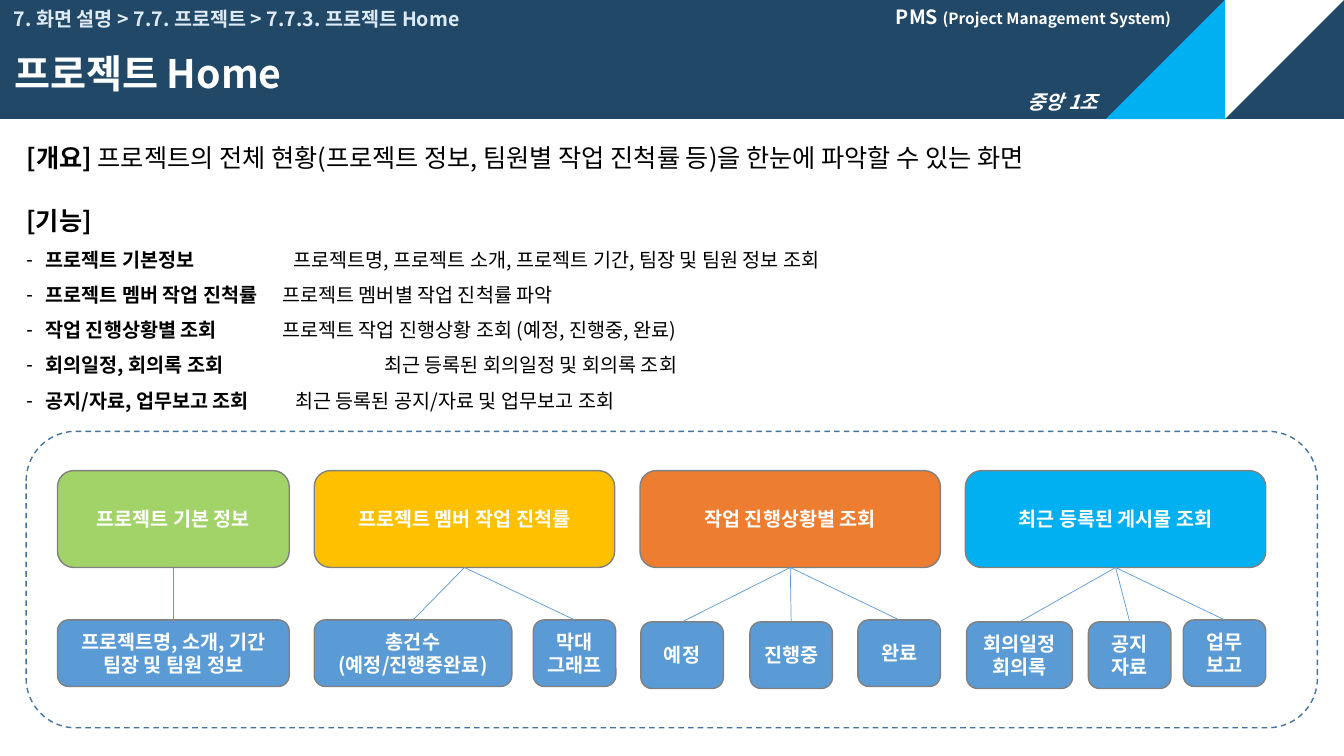
from dataclasses import dataclass

from lxml.etree import SubElement
from pptx import Presentation
from pptx.dml.color import RGBColor
from pptx.enum.dml import MSO_LINE_DASH_STYLE as Dash
from pptx.enum.shapes import MSO_CONNECTOR as Connector, MSO_SHAPE as Shape
from pptx.enum.text import MSO_ANCHOR as Anchor, MSO_AUTO_SIZE as AutoSize, PP_ALIGN as Align
from pptx.oxml.ns import qn
from pptx.util import Cm, Pt


@dataclass(frozen=True)
class Theme:
    font: str = "Noto Sans CJK KR"
    navy: str = "214867"
    sky: str = "00B0F0"
    white: str = "FFFFFF"
    black: str = "000000"
    pale: str = "DEEBF7"
    blue: str = "5B9BD5"
    frame: str = "43739E"
    edge: str = "808080"
    green: str = "A2D368"
    yellow: str = "FFC000"
    orange: str = "ED7D31"
    title: int = 28
    heading: int = 18
    text: int = 14
    small: int = 11


class SlideBuilder:
    def __init__(self, slide, theme):
        self.slide, self.theme = slide, theme

    def place(self, shape, box):
        shape.left, shape.top, shape.width, shape.height = (Cm(v) for v in box)

    def style(self, paragraph, size, color, bold=True, align=Align.LEFT, spacing=1.0):
        paragraph.alignment = align
        paragraph.line_spacing = spacing
        paragraph.space_before = Pt(0)
        font = paragraph.font
        font.name, font.size, font.bold = self.theme.font, Pt(size), bold
        font.color.rgb = RGBColor.from_string(color)
        # Hangul takes its typeface from the East Asian slot
        SubElement(font._element, qn("a:ea"), typeface=self.theme.font)

    def frame(self, shape, anchor):
        frame = shape.text_frame
        frame.word_wrap = True
        frame.auto_size = AutoSize.NONE
        frame.vertical_anchor = anchor
        return frame

    def label(self, box, runs, size, color, anchor=Anchor.MIDDLE, spacing=1.0):
        """Text box with one paragraph; returns that paragraph."""
        shape = self.slide.shapes.add_textbox(*(Cm(v) for v in box))
        paragraph = self.frame(shape, anchor).paragraphs[0]
        for text in runs:
            paragraph.add_run().text = text
        self.style(paragraph, size, color, spacing=spacing)
        return paragraph

    def title(self, box, text):
        shape = self.slide.shapes.title
        self.slide.shapes._spTree.append(shape._element)  # in front of the banner
        self.place(shape, box)
        paragraph = self.frame(shape, Anchor.MIDDLE).paragraphs[0]
        paragraph.text = text
        self.style(paragraph, self.theme.title, self.theme.white, spacing=0.9)

    def features(self, box, heading, items):
        """Body placeholder: a heading, then dashed items with a tabbed explanation."""
        t = self.theme
        body = self.slide.placeholders[1]
        self.slide.shapes._spTree.append(body._element)
        self.place(body, box)
        frame = self.frame(body, Anchor.TOP)
        first = frame.paragraphs[0]
        first.text = heading
        self.bullet(first)
        self.style(first, t.heading, t.black, spacing=1.5)
        for name, explanation, tab in items:
            item = frame.add_paragraph()
            for text, bold in ((name, True), ("\t" + explanation, False)):
                run = item.add_run()
                run.text, run.font.bold = text, bold
            self.bullet(item, "-", 0.48, tab)
            self.style(item, t.text, t.black, bold=None, spacing=1.5)

    def bullet(self, paragraph, mark=None, indent=0, tab=None):
        props = paragraph._p.get_or_add_pPr()
        props.set("marL", str(Cm(indent)))
        props.set("indent", str(-Cm(indent)))
        if mark:
            SubElement(props, qn("a:buChar"), char=mark)
        else:
            SubElement(props, qn("a:buNone"))
        if tab:
            stops = SubElement(props, qn("a:tabLst"))
            SubElement(stops, qn("a:tab"), pos=str(Cm(tab)), algn="l")

    def shape(self, kind, box, fill, line=None, rotation=0):
        shape = self.slide.shapes.add_shape(kind, *(Cm(v) for v in box))
        shape.shadow.inherit = False
        shape.rotation = rotation
        shape.fill.solid()
        shape.fill.fore_color.rgb = RGBColor.from_string(fill)
        if line:
            shape.line.color.rgb = RGBColor.from_string(line)
            shape.line.width = Pt(1)
        else:
            shape.line.fill.background()
        return shape

    def card(self, box, fill, text):
        shape = self.shape(Shape.ROUNDED_RECTANGLE, box, fill, self.theme.edge)
        frame = self.frame(shape, Anchor.MIDDLE)
        frame.text = text
        for paragraph in frame.paragraphs:
            self.style(paragraph, self.theme.text, self.theme.white, align=Align.CENTER)
        return shape

    def link(self, parent, child):
        line = self.slide.shapes.add_connector(Connector.STRAIGHT, 0, 0, 0, 0)
        line.begin_connect(parent, 2)
        line.end_connect(child, 0)
        line.line.color.rgb = RGBColor.from_string(self.theme.blue)
        line.line.width = Pt(0.5)
        SubElement(line._element.spPr, qn("a:effectLst"))


# Name, explanation, tab stop
FEATURES = [
    ("프로젝트 기본정보", "프로젝트명, 프로젝트 소개, 프로젝트 기간, 팀장 및 팀원 정보 조회", 6.73),
    ("프로젝트 멤버 작업 진척률", "프로젝트 멤버별 작업 진척률 파악", 6.45),
    ("작업 진행상황별 조회", "프로젝트 작업 진행상황 조회 (예정, 진행중, 완료)", 6.45),
    ("회의일정, 회의록 조회", "최근 등록된 회의일정 및 회의록 조회", 9.02),
    ("공지/자료, 업무보고 조회", "최근 등록된 공지/자료 및 업무보고 조회", 6.78),
]

# Upper card: left, width, colour, text; lower cards: left, top, width, text
HIGH, LOW, NARROW = 15.62, 15.67, 2.08
GROUPS = [
    (1.45, 5.84, Theme.green, "프로젝트 기본 정보",
     [(1.45, HIGH, 5.84, "프로젝트명, 소개, 기간\n팀장 및 팀원 정보")]),
    (7.92, 7.57, Theme.yellow, "프로젝트 멤버 작업 진척률",
     [(7.92, HIGH, 4.98, "총건수\n(예정/진행중완료)"), (13.44, HIGH, NARROW, "막대 그래프")]),
    (16.13, 7.57, Theme.orange, "작업 진행상황별 조회",
     [(16.15, LOW, NARROW, "예정"), (18.9, LOW, NARROW, "진행중"),
      (21.62, HIGH, NARROW, "완료")]),
    (24.33, 7.57, Theme.sky, "최근 등록된 게시물 조회",
     [(24.36, LOW, 2.67, "회의일정\n회의록"), (27.43, LOW, NARROW, "공지\n자료"),
      (29.82, HIGH, NARROW, "업무\n보고")]),
]


def main():
    theme = Theme()
    deck = Presentation()
    deck.slide_width, deck.slide_height = Cm(33.87), Cm(19.05)
    page = SlideBuilder(deck.slides.add_slide(deck.slide_layouts[1]), theme)

    # Banner
    page.shape(Shape.RECTANGLE, (0, 0, 33.87, 3), theme.navy)
    page.shape(Shape.RIGHT_TRIANGLE, (30.87, 0, 3, 3), theme.white, rotation=90)
    page.shape(Shape.RIGHT_TRIANGLE, (27.87, 0, 3, 3), theme.sky, rotation=270)
    team = page.label((25.65, 2.13, 2.41, 0.86), ["중앙 1조"], theme.text, theme.white, Anchor.TOP)
    team.font.italic = True
    system = page.label((22.33, 0, 7.7, 0.86), ["PMS ", "(Project Management System)"],
                        theme.text, theme.white)
    system.runs[1].font.size = Pt(theme.small)
    page.label((0.1, 0.03, 20.98, 0.97), ["7. 화면 설명 > 7.7. 프로젝트 > 7.7.3. 프로젝트 Home"],
               theme.text, theme.pale, spacing=0.9)
    page.title((0.1, 0.99, 21.67, 1.85), "프로젝트 Home")

    # Overview and features
    overview = page.label(
        (0.42, 3.12, 32.54, 1.3),
        ["[개요] ", "프로젝트의 전체 현황(프로젝트 정보, 팀원별 작업 진척률 등)을 한눈에 파악할 수 있는 화면"],
        theme.heading, theme.black, spacing=1.5)
    overview.runs[1].font.bold = False
    page.features((0.41, 4.67, 21.84, 6.2), "[기능]", FEATURES)

    # Feature map
    border = page.shape(Shape.ROUNDED_RECTANGLE, (0.66, 10.87, 32.54, 7.47), theme.white, theme.frame)
    border.line.dash_style = Dash.DASH
    for left, width, color, text, details in GROUPS:
        parent = page.card((left, 11.86, width, 2.44), color, text)
        for x, y, w, detail in details:
            page.link(parent, page.card((x, y, w, 1.68), theme.blue, detail))

    deck.save("out.pptx")


if __name__ == "__main__":
    main()
